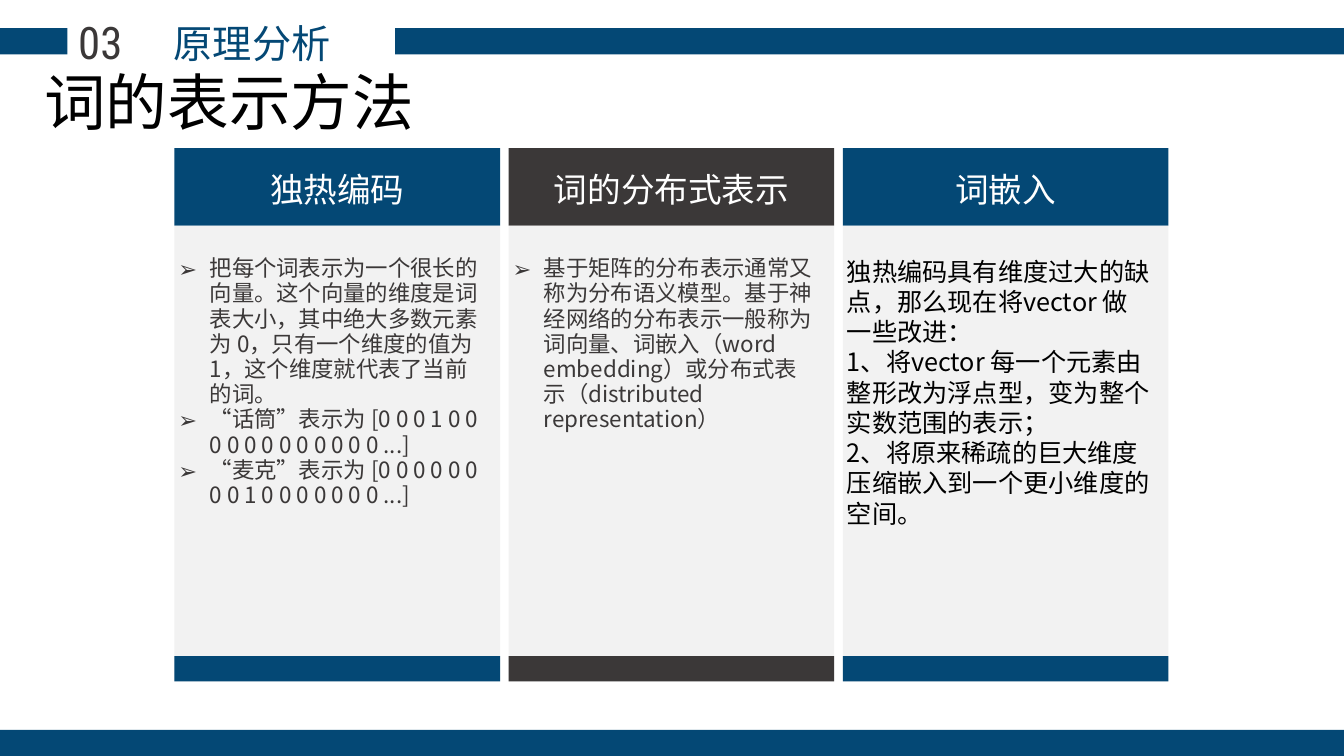
from dataclasses import dataclass

from lxml import etree
from pptx import Presentation
from pptx import util as u
from pptx.dml.color import RGBColor
from pptx.enum import shapes, text
from pptx.oxml.ns import qn

# Content
SECTION_NO, SECTION = "03", "原理分析"
TITLE = "词的表示方法"
COLUMNS = [
    dict(head="独热编码", color="blue", bullet="➢", items=[
        "把每个词表示为一个很长的向量。这个向量的维度是词表大小，其中绝大多数元素为 0，"
        "只有一个维度的值为 1，这个维度就代表了当前的词。",
        "“话筒”表示为 [0 0 0 1 0 0 0 0 0 0 0 0 0 0 0 0 ...]",
        "“麦克”表示为 [0 0 0 0 0 0 0 0 1 0 0 0 0 0 0 0 ...]",
    ]),
    dict(head="词的分布式表示", color="dark", bullet="➢", items=[
        "基于矩阵的分布表示通常又称为分布语义模型。基于神经网络的分布表示一般称为词向量、"
        "词嵌入（word embedding）或分布式表示（distributed representation）",
    ]),
    dict(head="词嵌入", color="blue", bullet=None, items=[
        "独热编码具有维度过大的缺点，那么现在将vector 做一些改进：",
        "1、将vector 每一个元素由整形改为浮点型，变为整个实数范围的表示；",
        "2、将原来稀疏的巨大维度压缩嵌入到一个更小维度的空间。",
    ]),
]


@dataclass(frozen=True)
class Theme:
    blue: str = "044875"
    dark: str = "3B3838"
    panel: str = "F2F2F2"
    white: str = "FFFFFF"
    black: str = "000000"
    font: str = "Noto Sans CJK SC"
    number_font: str = "Roboto Condensed"
    title: int = 44
    number: int = 32
    section: int = 28
    head: int = 24
    plain: int = 18
    bullets: int = 16
    line: float = 1.32  # leading of one-line headings


T = Theme()
SLIDE_W, SLIDE_H = 13.33, 7.5
BAR_H, BAR_Y = 0.26, 0.28
COL_X, COL_W, COL_STEP = 1.73, 3.23, 3.315
COL_Y, HEAD_H, PANEL_H, FOOT_H = 1.47, 0.77, 4.52, 0.25

prs = Presentation()
prs.slide_width, prs.slide_height = u.Inches(SLIDE_W), u.Inches(SLIDE_H)
s = prs.slides.add_slide(prs.slide_layouts.get_by_name("Comparison"))


def place(sp, x, y, w, h):
    sp.left, sp.top, sp.width, sp.height = map(u.Inches, (x, y, w, h))


def add_rect(x, y, w, h, color):
    sp = s.shapes.add_shape(shapes.MSO_SHAPE.RECTANGLE, *map(u.Inches, (x, y, w, h)))
    sp.shadow.inherit = False
    sp.fill.solid()
    sp.fill.fore_color.rgb = RGBColor.from_string(color)
    sp.line.fill.background()
    return sp


def set_bullet(p, char, indent=0.31):
    pPr = p._p.get_or_add_pPr()
    inch = u.Inches(indent) if char else 0
    pPr.set("marL", str(inch))
    pPr.set("indent", str(-inch))
    if char:
        etree.SubElement(pPr, qn("a:buFont")).set("typeface", T.font)
        etree.SubElement(pPr, qn("a:buChar")).set("char", char)
    else:
        etree.SubElement(pPr, qn("a:buNone"))


def write(sp, lines, *, size, color, font=T.font, align="LEFT", anchor="MIDDLE",
          leading=None, bullet=None, wrap=True):
    tf = sp.text_frame
    tf.word_wrap = wrap
    tf.auto_size = text.MSO_AUTO_SIZE.NONE
    tf.vertical_anchor = text.MSO_ANCHOR[anchor]
    for i, line in enumerate(lines):
        p = tf.add_paragraph() if i else tf.paragraphs[0]
        p.alignment = text.PP_ALIGN[align]
        p.space_before = p.space_after = u.Pt(0)
        if leading:
            p.line_spacing = u.Pt(leading)
        set_bullet(p, bullet)
        r = p.add_run()
        r.text = line
        r.font.size, r.font.bold, r.font.name = u.Pt(size), False, font
        r.font.color.rgb = RGBColor.from_string(color)
        etree.SubElement(r._r.get_or_add_rPr(), qn("a:ea")).set("typeface", font)


def add_label(label, box, **fmt):
    sp = s.shapes.add_textbox(*map(u.Inches, box))
    write(sp, [label], align="CENTER", **fmt)


# Header and footer bars
for x, y, w in [(0, BAR_Y, 0.67), (3.92, BAR_Y, SLIDE_W - 3.92),
                (0, SLIDE_H - BAR_H, SLIDE_W)]:
    add_rect(x, y, w, BAR_H, T.blue)

# Section label
add_label(SECTION, (0.7, 0.12, 3.6, 0.57), size=T.section, color=T.blue,
          leading=T.section * T.line)
add_label(SECTION_NO, (0.6, 0.09, 0.79, 0.64), size=T.number, color=T.dark,
          font=T.number_font)

# Title
title, *bodies = s.placeholders
place(title, 0.34, 0.54, 3.9, 0.84)
write(title, [TITLE], size=T.title, color=T.black, leading=T.title * T.line, wrap=False)

# Columns
for i, (col, body) in enumerate(zip(COLUMNS, bodies)):
    x, color = COL_X + i * COL_STEP, getattr(T, col["color"])
    head = add_rect(x, COL_Y, COL_W, HEAD_H, color)
    write(head, [col["head"]], size=T.head, color=T.white, align="CENTER",
          leading=T.head * T.line)
    panel_y = COL_Y + HEAD_H
    add_rect(x, panel_y, COL_W, PANEL_H, T.panel)
    add_rect(x, panel_y + PANEL_H - FOOT_H, COL_W, FOOT_H, color)

    place(body, x - 0.06, panel_y + 0.25, 3.22, 3.08)
    look = (dict(size=T.bullets, color=T.dark, leading=18) if col["bullet"]
            else dict(size=T.plain, color=T.black, leading=21.6))
    write(body, col["items"], anchor="TOP", bullet=col["bullet"], **look)
    s.shapes._spTree.append(body._element)  # text in front of its panel

# Unused placeholder
for ph in bodies[len(COLUMNS):]:
    s.shapes._spTree.remove(ph._element)

prs.save("out.pptx")
